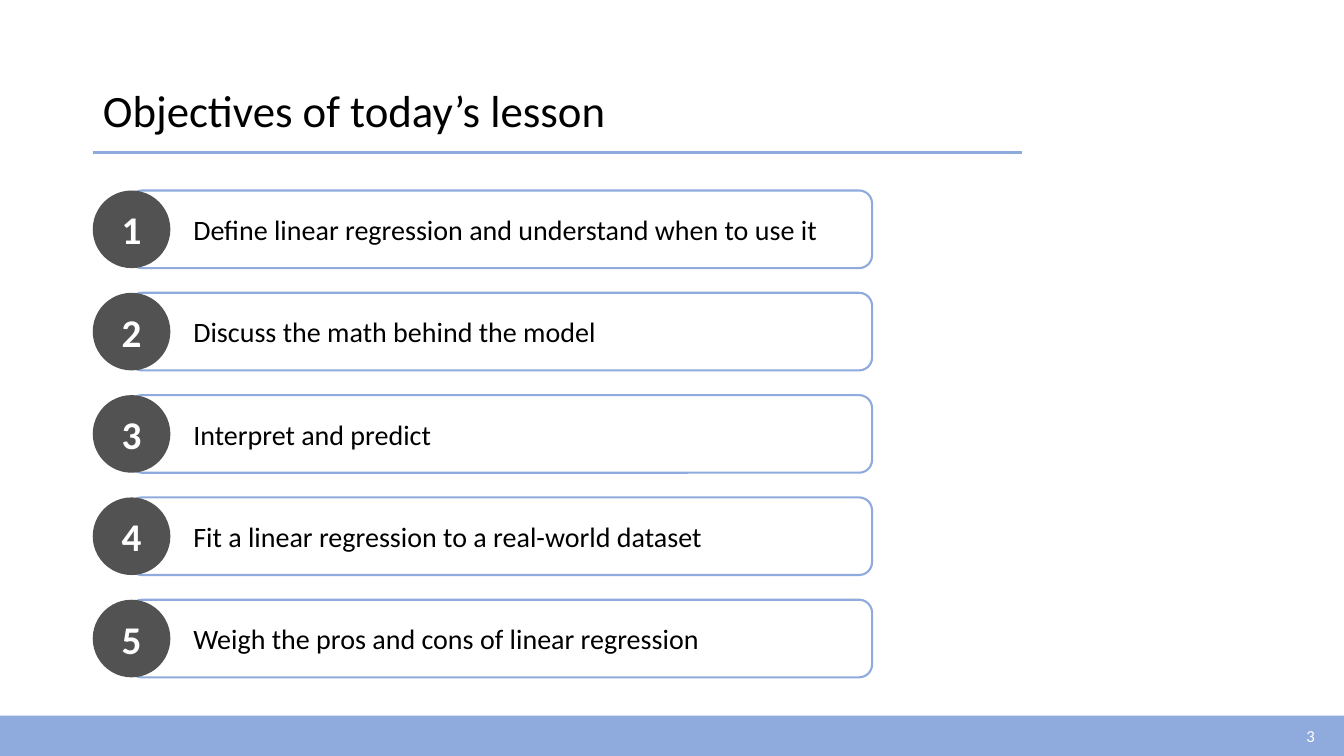
from pptx import Presentation
from pptx.dml.color import RGBColor
from pptx.enum.shapes import MSO_CONNECTOR, MSO_SHAPE
from pptx.enum.text import MSO_ANCHOR, PP_ALIGN
from pptx.oxml.ns import qn
from pptx.util import Inches, Pt

TITLE = "Objectives of today’s lesson"
OBJECTIVES = [
    "Define linear regression and understand when to use it",
    "Discuss the math behind the model",
    "Interpret and predict",
    "Fit a linear regression to a real-world dataset",
    "Weigh the pros and cons of linear regression",
]
PAGE = "3"

BLUE, GREY, BLACK, WHITE = "8FAADC", "525252", "000000", "FFFFFF"
SLIDE_W, SLIDE_H = 13.33, 7.5
LEFT = 0.92
FIRST_TOP, PITCH = 1.89, 1.015
BADGE, BOX_LEFT, BOX_W = 0.77, 1.28, 7.37
FOOTER_H = 0.4


def rgb(color):
    return RGBColor.from_string(color)


def write(sp, text, size, color, align=PP_ALIGN.LEFT, bold=False):
    tf = sp.text_frame
    tf.word_wrap = True
    tf.vertical_anchor = MSO_ANCHOR.MIDDLE
    p = tf.paragraphs[0]
    p.alignment = align
    r = p.add_run()
    r.text = text
    font = {"name": "Calibri", "size": Pt(size), "bold": bold}
    for key, value in font.items():
        setattr(r.font, key, value)
    r.font.color.rgb = rgb(color)
    return p


def add_shape(s, kind, x, y, w, h, fill=None, line=None):
    sp = s.shapes.add_shape(kind, Inches(x), Inches(y), Inches(w), Inches(h))
    sp.shadow.inherit = False
    if fill:
        sp.fill.solid()
        sp.fill.fore_color.rgb = rgb(fill)
    else:
        sp.fill.background()
    if line:
        sp.line.color.rgb = rgb(line)
        sp.line.width = Pt(1.5)
    else:
        sp.line.fill.background()
    return sp


prs = Presentation()
prs.slide_width, prs.slide_height = Inches(SLIDE_W), Inches(SLIDE_H)
s = prs.slides.add_slide(prs.slide_layouts[5])

# Title and its rule
title = s.shapes.title
frame = {"left": LEFT, "top": 0.4, "width": 11.5, "height": 1.45}
for key, value in frame.items():
    setattr(title, key, Inches(value))
write(title, TITLE, 32, BLACK).line_spacing = 0.9

rule = s.shapes.add_connector(MSO_CONNECTOR.STRAIGHT, Inches(LEFT), Inches(1.51),
                              Inches(10.14), Inches(1.51))
rule.line.color.rgb = rgb(BLUE)
rule.line.width = Pt(2.25)
sp_pr = rule._element.spPr
sp_pr.append(sp_pr.makeelement(qn("a:effectLst"), {}))

# Footer band and page number
footer_top = SLIDE_H - FOOTER_H
add_shape(s, MSO_SHAPE.RECTANGLE, 0, footer_top, SLIDE_W, FOOTER_H, fill=BLUE)
page = s.shapes.add_textbox(Inches(10.14), Inches(footer_top), Inches(3), Inches(FOOTER_H))
write(page, PAGE, 12, WHITE, PP_ALIGN.RIGHT)

# Numbered objectives
for i, objective in enumerate(OBJECTIVES):
    top = FIRST_TOP + i * PITCH
    box = add_shape(s, MSO_SHAPE.ROUNDED_RECTANGLE, BOX_LEFT, top, BOX_W, BADGE, line=BLUE)
    box.text_frame.margin_left = Inches(0.6)
    write(box, objective, 20, BLACK)
    badge = add_shape(s, MSO_SHAPE.OVAL, LEFT, top, BADGE, BADGE, fill=GREY)
    write(badge, str(i + 1), 28, WHITE, PP_ALIGN.CENTER, bold=True)

prs.save("out.pptx")
